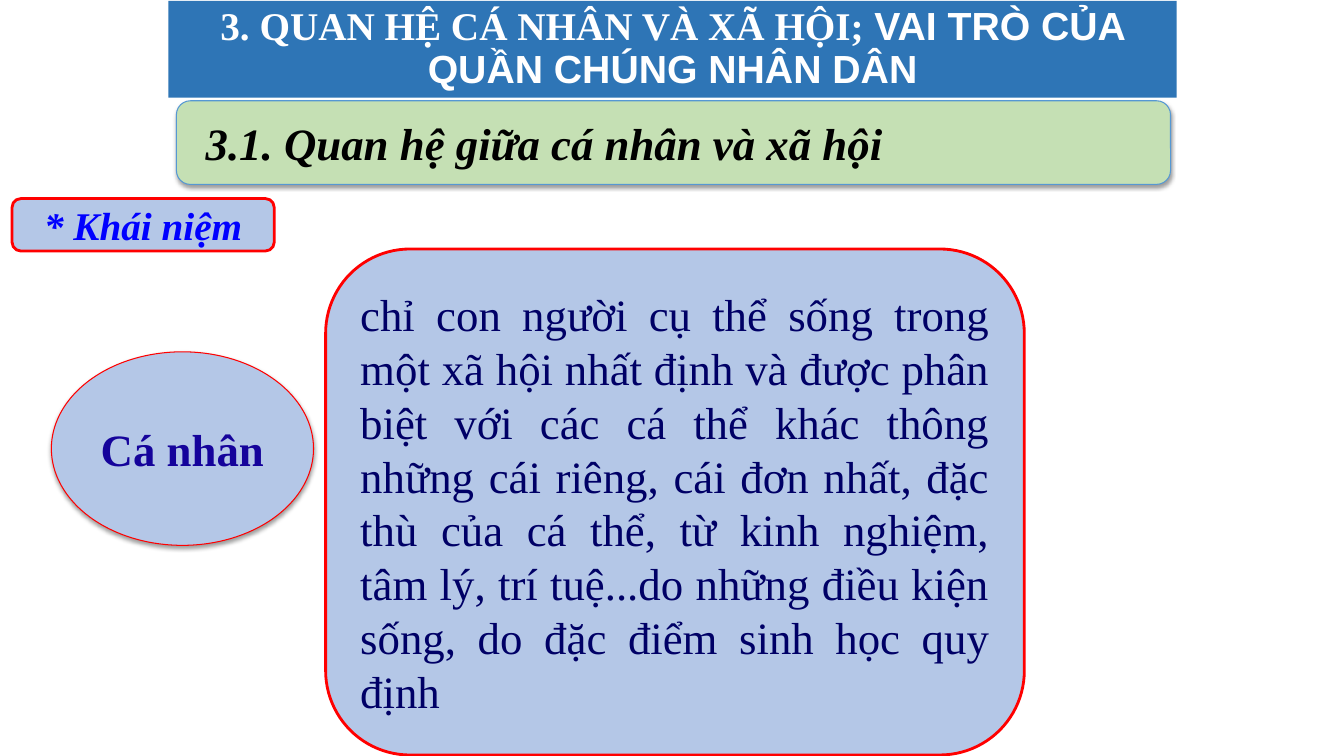
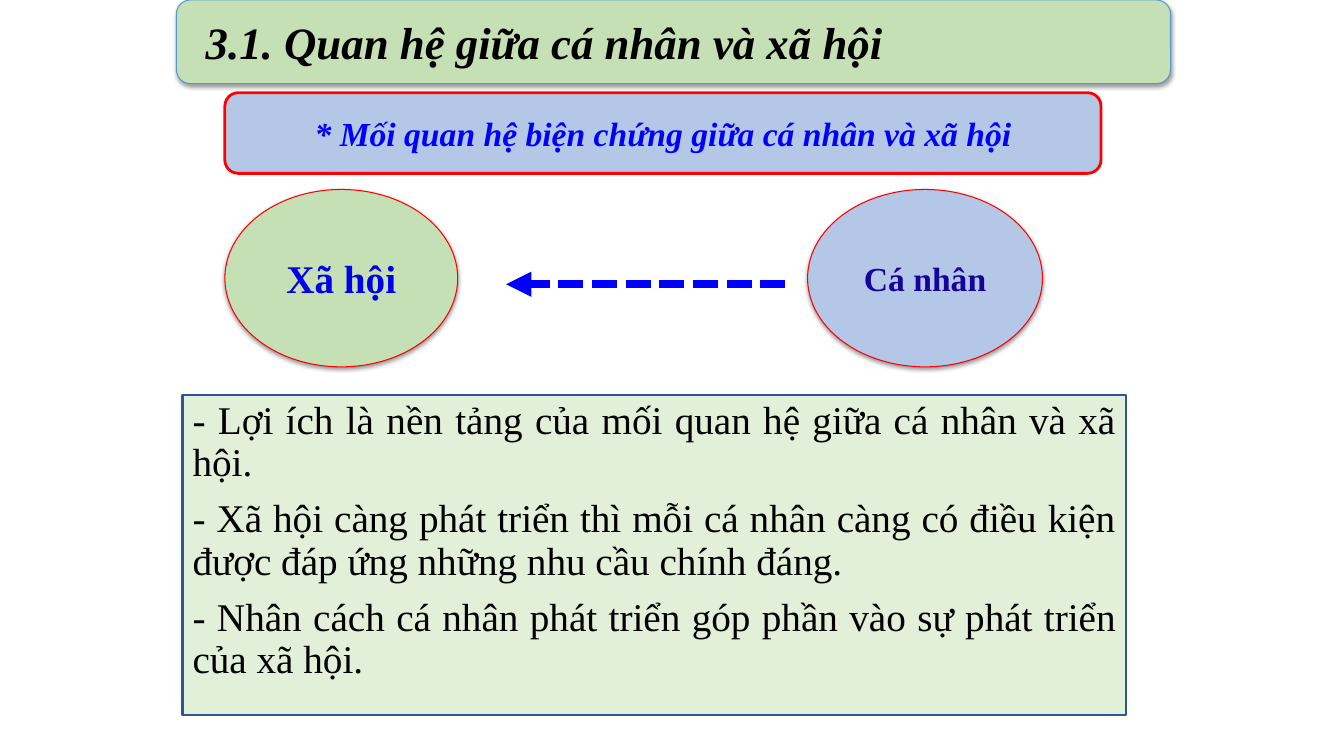
from lxml import etree
from pptx import Presentation
from pptx import util as u
from pptx.dml.color import RGBColor
from pptx.enum import dml, shapes, text
from pptx.oxml.ns import qn

COLORS = {
    "banner": "2E75B6", "green": "C5E0B4", "pale": "E2F0D9", "blue": "B4C7E7",
    "red": "FF0000", "edge": "5698D3", "frame": "2F5597", "white": "FFFFFF",
    "black": "000000", "navy": "000066", "violet": "15039B",
    "bright": "0000FF", "royal": "0000EA",
}
SERIF = "Times New Roman"
ROUND = shapes.MSO_SHAPE.ROUNDED_RECTANGLE
OVAL = shapes.MSO_SHAPE.OVAL
CENTER, JUSTIFY, LEFT = text.PP_ALIGN.CENTER, text.PP_ALIGN.JUSTIFY, text.PP_ALIGN.LEFT

BANNER = [
    ("3. QUAN HỆ CÁ NHÂN VÀ XÃ HỘI;", SERIF),
    (" VAI TRÒ CỦA QUẦN CHÚNG NHÂN DÂN", "Arial"),
]
HEADING = "3.1. Quan hệ giữa cá nhân và xã hội"
DEFINITION = (
    "chỉ con người cụ thể sống trong một xã hội nhất định và được phân biệt với "
    "các cá thể khác thông những cái riêng, cái đơn nhất, đặc thù của cá thể, từ "
    "kinh nghiệm, tâm lý, trí tuệ...do những điều kiện sống, do đặc điểm sinh học "
    "quy định"
)
POINTS = [
    "- Lợi ích là nền tảng của mối quan hệ giữa cá nhân và xã hội.",
    "- Xã hội càng phát triển thì mỗi cá nhân càng có điều kiện được đáp ứng "
    "những nhu cầu chính đáng.",
    "- Nhân cách cá nhân phát triển góp phần vào sự phát triển của xã hội.",
]


def rgb(name):
    return RGBColor.from_string(COLORS[name])


def place(box, at):
    box.left, box.top, box.width, box.height = map(u.Inches, at)


def paint(box, fill, line=None, weight=0.75):
    box.fill.solid()
    box.fill.fore_color.rgb = rgb(fill)
    if line:
        box.line.color.rgb = rgb(line)
        box.line.width = u.Pt(weight)
    else:
        box.line.fill.background()


def add_span(para, words, size, color, bold=False, italic=False, font=SERIF):
    span = para.add_run()
    span.text = words
    span.font.name, span.font.size = font, u.Pt(size)
    span.font.bold, span.font.italic = bold, italic
    span.font.color.rgb = rgb(color)


def set_frame(box, anchor=text.MSO_ANCHOR.MIDDLE, side=0.1, edge=0.05):
    frame = box.text_frame
    frame.word_wrap = True
    frame.auto_size = text.MSO_AUTO_SIZE.NONE
    frame.vertical_anchor = anchor
    frame.margin_left = frame.margin_right = u.Inches(side)
    frame.margin_top = frame.margin_bottom = u.Inches(edge)
    return frame


def write(box, words, size, color, align=CENTER, bold=True, italic=False, **margins):
    para = set_frame(box, **margins).paragraphs[0]
    para.alignment = align
    add_span(para, words, size, color, bold, italic)


def add_box(page, kind, at, fill, line, weight=0.75, shadow=False):
    box = page.shapes.add_shape(kind, *map(u.Inches, at))
    paint(box, fill, line, weight)
    box.shadow.inherit = False
    if shadow:
        effects = box.element.spPr.find(qn("a:effectLst"))
        outer = etree.SubElement(effects, qn("a:outerShdw"), blurRad="39370",
                                 dist="20320", dir="5400000", rotWithShape="0")
        tint = etree.SubElement(outer, qn("a:srgbClr"), val=COLORS["black"])
        etree.SubElement(tint, qn("a:alpha"), val="38000")
    return box


def add_heading(page, top, label=None):
    band = add_box(page, ROUND, (1.75, top, 9.86, 0.83), "green", "edge", shadow=True)
    at = (1.81, top + 0.04, 9.74, 0.75)
    if label is None:
        label = page.shapes.add_textbox(*map(u.Inches, at))
    else:
        place(label, at)
        band.element.addnext(label.element)
    write(label, HEADING, 32, "black", LEFT, italic=True, side=0.23, edge=0)


def add_oval(page, at, words, size, color, fill="blue"):
    oval = add_box(page, OVAL, at, fill, "red", shadow=True)
    write(oval, words, size, color)


def add_panel(page, at, words, size, color="bright", **style):
    panel = add_box(page, ROUND, at, "blue", "red", 2)
    write(panel, words, size, color, **style)


def add_arrow(page, start, end):
    arrow = page.shapes.add_connector(shapes.MSO_CONNECTOR.STRAIGHT,
                                      *map(u.Inches, start + end))
    arrow.line.color.rgb = rgb("bright")
    arrow.line.width = u.Pt(6)
    arrow.line.dash_style = dml.MSO_LINE.SQUARE_DOT
    etree.SubElement(arrow.line._get_or_add_ln(), qn("a:tailEnd"), type="triangle")
    etree.SubElement(arrow.element.spPr, qn("a:effectLst"))


def fill_points(body):
    place(body, (1.81, 3.92, 9.36, 3.17))
    paint(body, "pale", "frame", 1.5)
    frame = set_frame(body, text.MSO_ANCHOR.TOP)
    for index, point in enumerate(POINTS):
        para = frame.add_paragraph() if index else frame.paragraphs[0]
        para.alignment = JUSTIFY
        para.line_spacing = 0.9
        para.space_before = u.Pt(10)
        add_span(para, point, 28, "black")
        props = para._p.get_or_add_pPr()
        props.set("marL", "0")
        props.set("indent", "0")
        etree.SubElement(props, qn("a:buNone"))


def build_concept(deck):
    page = deck.slides.add_slide(deck.slide_layouts[5])
    title = page.shapes.title
    place(title, (1.67, 0.01, 10, 0.96))
    paint(title, "banner")
    para = set_frame(title).paragraphs[0]
    para.alignment = CENTER
    para.line_spacing = 0.9
    for words, font in BANNER:
        add_span(para, words, 28, "white", bold=True, font=font)
    add_heading(page, 1)
    add_oval(page, (0.51, 3.49, 2.6, 1.92), "Cá nhân", 32, "violet")
    add_panel(page, (3.23, 2.47, 6.93, 5.02), DEFINITION, 32, "navy",
              align=JUSTIFY, bold=False)
    add_panel(page, (0.12, 1.97, 2.6, 0.52), "* Khái niệm", 28, italic=True)


def build_relation(deck):
    page = deck.slides.add_slide(deck.slide_layouts[1])
    add_heading(page, 0, page.shapes.title)
    add_oval(page, (8.01, 1.88, 2.33, 1.76), "Cá nhân", 24, "violet")
    add_oval(page, (2.23, 1.88, 2.31, 1.76), "Xã hội", 28, "royal", "green")
    add_arrow(page, (7.79, 2.82), (5.02, 2.82))
    add_panel(page, (2.23, 0.92, 8.69, 0.8),
              "* Mối quan hệ biện chứng giữa cá nhân và xã hội", 24, italic=True)
    fill_points(page.placeholders[1])


def main():
    deck = Presentation()
    deck.slide_width, deck.slide_height = u.Inches(13.33), u.Inches(7.5)
    build_concept(deck)
    build_relation(deck)
    deck.save("out.pptx")


if __name__ == "__main__":
    main()
